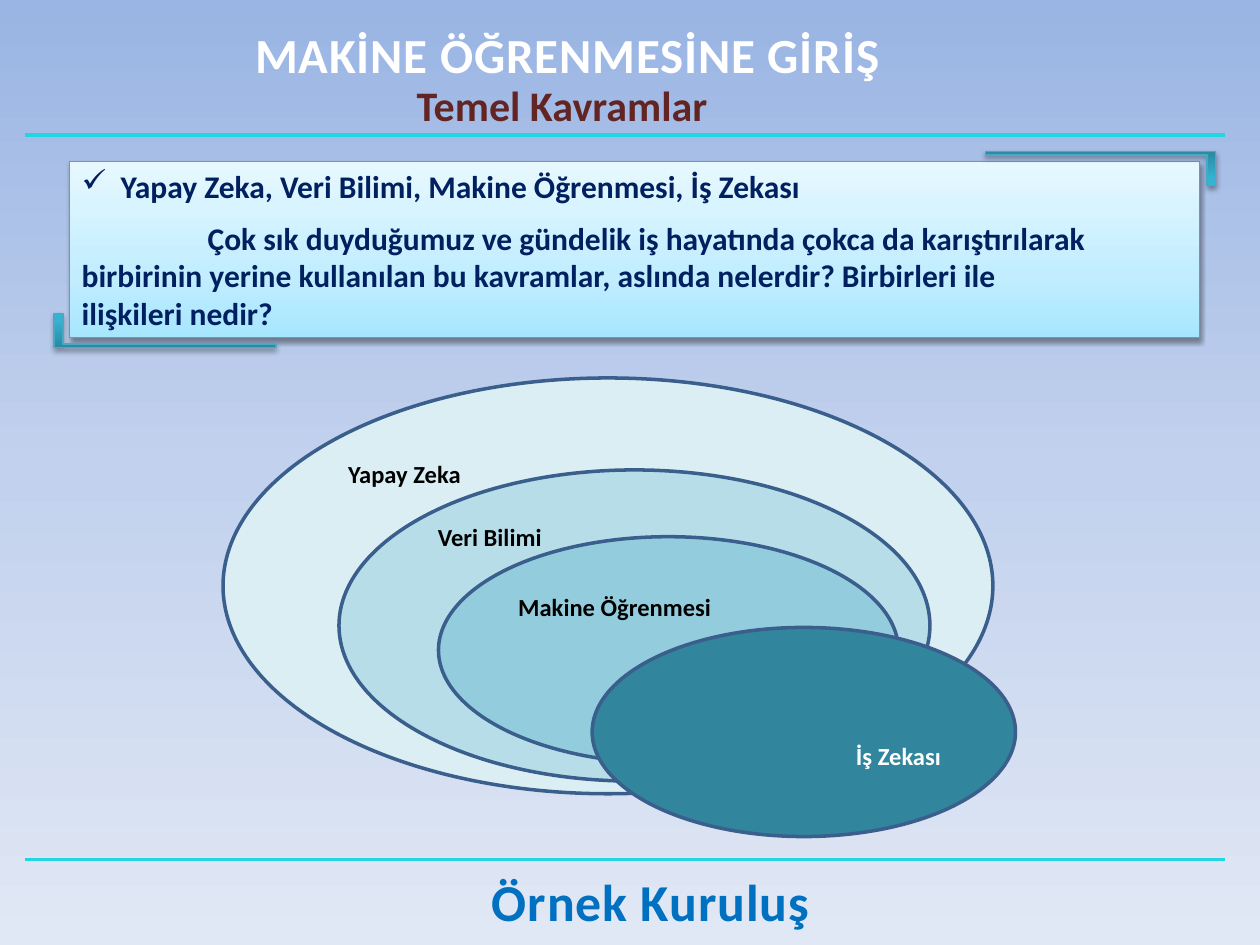
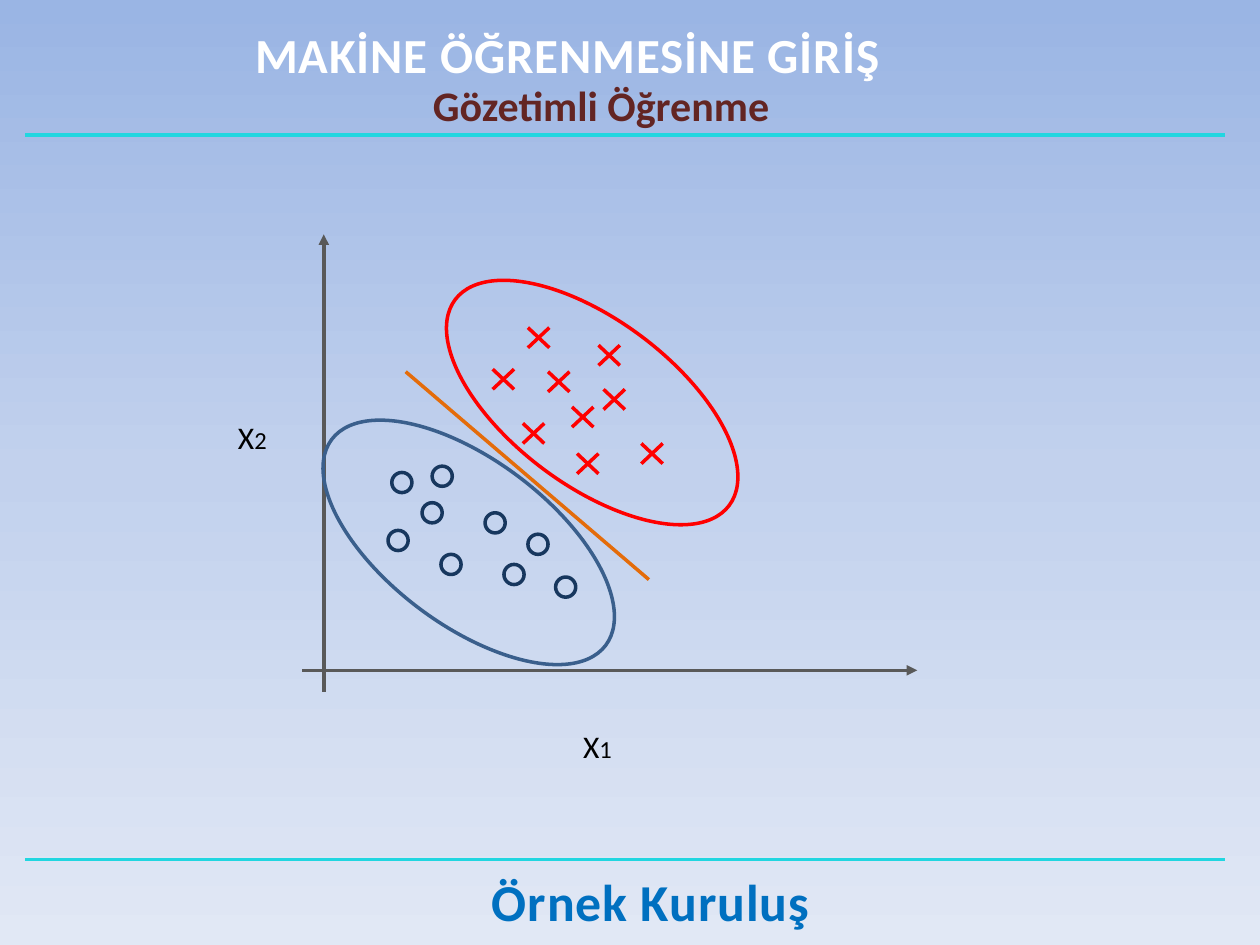
from dataclasses import dataclass
from typing import NamedTuple

from lxml.etree import SubElement
from pptx import Presentation
from pptx.dml.color import RGBColor
from pptx.enum.shapes import MSO_CONNECTOR, MSO_SHAPE
from pptx.enum.text import MSO_ANCHOR, PP_ALIGN
from pptx.oxml.ns import qn
from pptx.util import Inches, Pt


@dataclass(frozen=True)
class Theme:
    font: str = "Calibri"
    title: str = "FFFFFF"
    subtitle: str = "632523"
    footer: str = "0070C0"
    rule: str = "21D6E0"
    body: str = "002060"
    black: str = "000000"
    outline: str = "3A5F8C"
    axis: str = "595959"
    circle: str = "17375E"
    cross: str = "FF0000"
    boundary: str = "E46C0A"
    box_line: str = "46AAC5"
    background: tuple = ((0, "9AB5E4"), (50, "C2D1ED"), (100, "E1E8F5"))
    box: tuple = ((0, "A7E6FF"), (35, "C1EDFF"), (100, "E7F8FF"))
    bracket: tuple = ((0, "2A88A2"), (80, "37B1D2"), (100, "34B4D6"))
    title_size: float = 28
    subtitle_size: float = 24
    footer_size: float = 29.6
    body_size: float = 18
    label_size: float = 14
    line_width: float = 2


THEME = Theme()
UP, DOWN = 90, 270
ELLIPSE_INSET = 0.1464  # share of an ellipse outside its text area
LABEL_HALF_HEIGHT = 0.12


class Box(NamedTuple):
    left: float
    top: float
    width: float
    height: float

    def emu(self) -> list:
        return [Inches(v) for v in self]


class Concept(NamedTuple):
    name: str
    box: Box
    fill: str
    label_y: float
    color: str = THEME.black
    align: PP_ALIGN = PP_ALIGN.LEFT


class Bracket(NamedTuple):
    """An L-shaped corner; the signs point from the corner along its arms."""
    x: float
    y: float
    width: float
    x_sign: int
    y_sign: int
    angle: int


CONCEPTS = [
    Concept("Yapay Zeka", Box(1.77, 3, 6.11, 3.3), "DBEEF4", 3.76),
    Concept("Veri Bilimi", Box(2.69, 3.73, 4.69, 2.47), "B7DEE8", 4.26),
    Concept("Makine Öğrenmesi", Box(3.48, 4.26, 3.65, 1.8), "93CDDD", 4.82),
    Concept("İş Zekası", Box(4.7, 4.98, 3.36, 1.66), "31859C", 6,
            THEME.title, PP_ALIGN.RIGHT),
]
BRACKETS = [Bracket(0.43, 2.76, 1.76, 1, -1, UP),
            Bracket(9.65, 1.2, 1.83, -1, 1, DOWN)]
CIRCLES = [(3.11, 3.75), (3.08, 4.21), (3.35, 3.99), (3.5, 4.4), (3.85, 4.07),
           (3.43, 3.7), (4, 4.48), (4.19, 4.24), (4.41, 4.58)]
CROSSES = [(4.19, 2.6), (4.75, 2.74), (4.35, 2.95), (3.91, 2.93), (4.54, 3.23),
           (4.15, 3.36), (4.58, 3.6), (4.79, 3.09), (5.09, 3.52)]


def rgb(color: str) -> RGBColor:
    return RGBColor.from_string(color)


def set_gradient(fill, element, stops: tuple, angle: int) -> None:
    fill.gradient()
    fill.gradient_angle = angle
    stop_list = next(element.iter(qn("a:gsLst")))
    for old in list(stop_list):
        stop_list.remove(old)
    for position, color in stops:
        stop = SubElement(stop_list, qn("a:gs"), pos=str(position * 1000))
        SubElement(stop, qn("a:srgbClr"), val=color)


def set_line(sp, color: str, width: float = THEME.line_width) -> None:
    sp.line.color.rgb = rgb(color)
    sp.line.width = Pt(width)


def add_shadow(sp, alpha: int, distance: float) -> None:
    sp.shadow.inherit = False
    effects = sp._element.spPr.find(qn("a:effectLst"))
    outer = SubElement(effects, qn("a:outerShdw"), blurRad=str(Pt(3.1)),
                       dist=str(Pt(distance)), dir="5400000", rotWithShape="0")
    color = SubElement(outer, qn("a:srgbClr"), val=THEME.black)
    SubElement(color, qn("a:alpha"), val=str(alpha * 1000))


def format_runs(p, size: float, color: str, bold: bool = True,
                spacing: float = 0) -> None:
    for r in p.runs:
        r.font.name = THEME.font
        r.font.size = Pt(size)
        r.font.bold = bold
        r.font.color.rgb = rgb(color)
        if spacing:
            r._r.get_or_add_rPr().set("spc", str(int(spacing * 100)))


def add_line(slide, start: tuple, end: tuple, color: str, arrow: bool = False) -> None:
    line = slide.shapes.add_connector(
        MSO_CONNECTOR.STRAIGHT, *[Inches(v) for v in (*start, *end)])
    set_line(line, color)
    if arrow:
        SubElement(line.line._get_or_add_ln(), qn("a:tailEnd"), type="triangle")
    SubElement(line._element.spPr, qn("a:effectLst"))


def add_ellipse(slide, box: Box, color: str, fill: str = "", rotation: float = 0):
    sp = slide.shapes.add_shape(MSO_SHAPE.OVAL, *box.emu())
    sp.shadow.inherit = False
    sp.rotation = rotation
    set_line(sp, color)
    if fill:
        sp.fill.solid()
        sp.fill.fore_color.rgb = rgb(fill)
    else:
        sp.fill.background()
    return sp


def add_text(slide, box: Box, text: str, size: float, color: str,
             spacing: float = 0):
    tf = slide.shapes.add_textbox(*box.emu()).text_frame
    tf.word_wrap = True
    tf.text = text
    p = tf.paragraphs[0]
    p.alignment = PP_ALIGN.CENTER
    format_runs(p, size, color, spacing=spacing)
    return tf


def add_banner(slide, box: Box, text: str, size: float, color: str):
    """Spaced-out heading used by the title and the footer."""
    tf = add_text(slide, box, text, size, color, spacing=0.5)
    tf.margin_left, tf.margin_top = Inches(0.2), Inches(0.1)
    tf.paragraphs[0].space_before = Pt(2.5)
    return tf


def add_base_slide(prs, subtitle: str, subtitle_box: Box):
    slide = prs.slides.add_slide(prs.slide_layouts[6])
    set_gradient(slide.background.fill, slide._element, THEME.background, DOWN)
    for y in (6.82, 1.07):
        add_line(slide, (0.2, y), (9.72, y), THEME.rule)
    footer = add_banner(slide, Box(2.32, 6.9, 5.59, 0.57), "Örnek Kuruluş",
                        THEME.footer_size, THEME.footer)
    footer.paragraphs[0].line_spacing = 0.8
    title = add_banner(slide, Box(0.91, 0.13, 7.09, 0.55),
                       "MAKİNE ÖĞRENMESİNE GİRİŞ", THEME.title_size, THEME.title)
    title.vertical_anchor = MSO_ANCHOR.MIDDLE
    add_text(slide, subtitle_box, subtitle, THEME.subtitle_size, THEME.subtitle)
    return slide


def add_question_box(slide) -> None:
    sp = slide.shapes.add_shape(MSO_SHAPE.RECTANGLE, *Box(0.55, 1.28, 8.97, 1.4).emu())
    set_gradient(sp.fill, sp._element.spPr, THEME.box, UP)
    set_line(sp, THEME.box_line, 0.75)
    add_shadow(sp, 38, 1.6)
    tf = sp.text_frame
    tf.word_wrap = True
    tf.vertical_anchor = MSO_ANCHOR.MIDDLE
    tf.text = (
        "Yapay Zeka, Veri Bilimi, Makine Öğrenmesi, İş Zekası\n"
        "Çok sık duyduğumuz ve gündelik iş hayatında çokca da karıştırılarak\v"
        "birbirinin yerine kullanılan bu kavramlar, aslında nelerdir? Birbirleri ile\v"
        "ilişkileri nedir?")
    for p in tf.paragraphs:
        p.alignment = PP_ALIGN.LEFT
        p.space_before, p.space_after = Pt(6), Pt(2)
        format_runs(p, THEME.body_size, THEME.body)
    topic, question = [p._p.get_or_add_pPr() for p in tf.paragraphs]
    topic.set("marL", str(Inches(0.31)))
    topic.set("indent", str(-Inches(0.31)))
    SubElement(topic, qn("a:buChar"), char="✓")
    question.set("indent", str(Inches(1)))


def add_bracket(slide, bracket: Bracket) -> None:
    thick_x, thick_y, height = 0.07, 0.03, 0.27
    outline = [(thick_x, thick_y), (thick_x, height), (0, height), (0, 0),
               (bracket.width, 0), (bracket.width, thick_y)]
    points = [(Inches(bracket.x + bracket.x_sign * dx),
               Inches(bracket.y + bracket.y_sign * dy)) for dx, dy in outline]
    builder = slide.shapes.build_freeform(*points[0])
    builder.add_line_segments(points[1:], close=True)
    sp = builder.convert_to_shape()
    set_gradient(sp.fill, sp._element.spPr, THEME.bracket, bracket.angle)
    set_line(sp, THEME.box_line, 0.75)
    add_shadow(sp, 35, 1.8)


def add_concept(slide, concept: Concept) -> None:
    box = concept.box
    tf = add_ellipse(slide, box, THEME.outline, concept.fill).text_frame
    tf.word_wrap = True
    tf.vertical_anchor = MSO_ANCHOR.TOP
    text_top = box.top + ELLIPSE_INSET * box.height
    tf.margin_top = Inches(concept.label_y - LABEL_HALF_HEIGHT - text_top)
    tf.text = concept.name
    p = tf.paragraphs[0]
    p.alignment = concept.align
    format_runs(p, THEME.label_size, concept.color)


def add_axis_label(slide, left: float, top: float, index: str) -> None:
    tf = slide.shapes.add_textbox(*Box(left, top, 0.43, 0.4).emu()).text_frame
    tf.word_wrap = False
    p = tf.paragraphs[0]
    for text in ("X", index):
        p.add_run().text = text
    format_runs(p, THEME.body_size, THEME.black, bold=False)
    p.runs[1].font.size = Pt(THEME.label_size)


def add_cross(slide, x: float, y: float) -> None:
    right, bottom = x + 0.17, y + 0.16
    add_line(slide, (x, y), (right, bottom), THEME.cross)
    add_line(slide, (x, bottom), (right, y), THEME.cross)


def build_concepts(prs) -> None:
    slide = add_base_slide(prs, "Temel Kavramlar", Box(2.06, 0.58, 4.8, 0.5))
    add_question_box(slide)
    for bracket in BRACKETS:
        add_bracket(slide, bracket)
    for concept in CONCEPTS:
        add_concept(slide, concept)


def build_supervised(prs) -> None:
    slide = add_base_slide(prs, "Gözetimli Öğrenme", Box(0.91, 0.58, 7.72, 0.5))
    add_line(slide, (2.4, 5.32), (7.28, 5.32), THEME.axis, arrow=True)
    add_line(slide, (2.57, 5.49), (2.57, 1.86), THEME.axis, arrow=True)
    for x, y in CIRCLES:
        add_ellipse(slide, Box(x, y, 0.16, 0.16), THEME.circle)
    for x, y in CROSSES:
        add_cross(slide, x, y)
    add_axis_label(slide, 4.53, 5.72, "1")
    add_axis_label(slide, 1.79, 3.27, "2")
    add_line(slide, (3.22, 2.95), (5.15, 4.6), THEME.boundary)
    for left, top, color in ((3.34, 2.54, THEME.cross), (2.36, 3.65, THEME.outline)):
        add_ellipse(slide, Box(left, top, 2.72, 1.31), color, rotation=36.9)


def main() -> None:
    prs = Presentation()
    prs.slide_width, prs.slide_height = Inches(10), Inches(7.5)
    build_concepts(prs)
    build_supervised(prs)
    prs.save("out.pptx")


if __name__ == "__main__":
    main()
